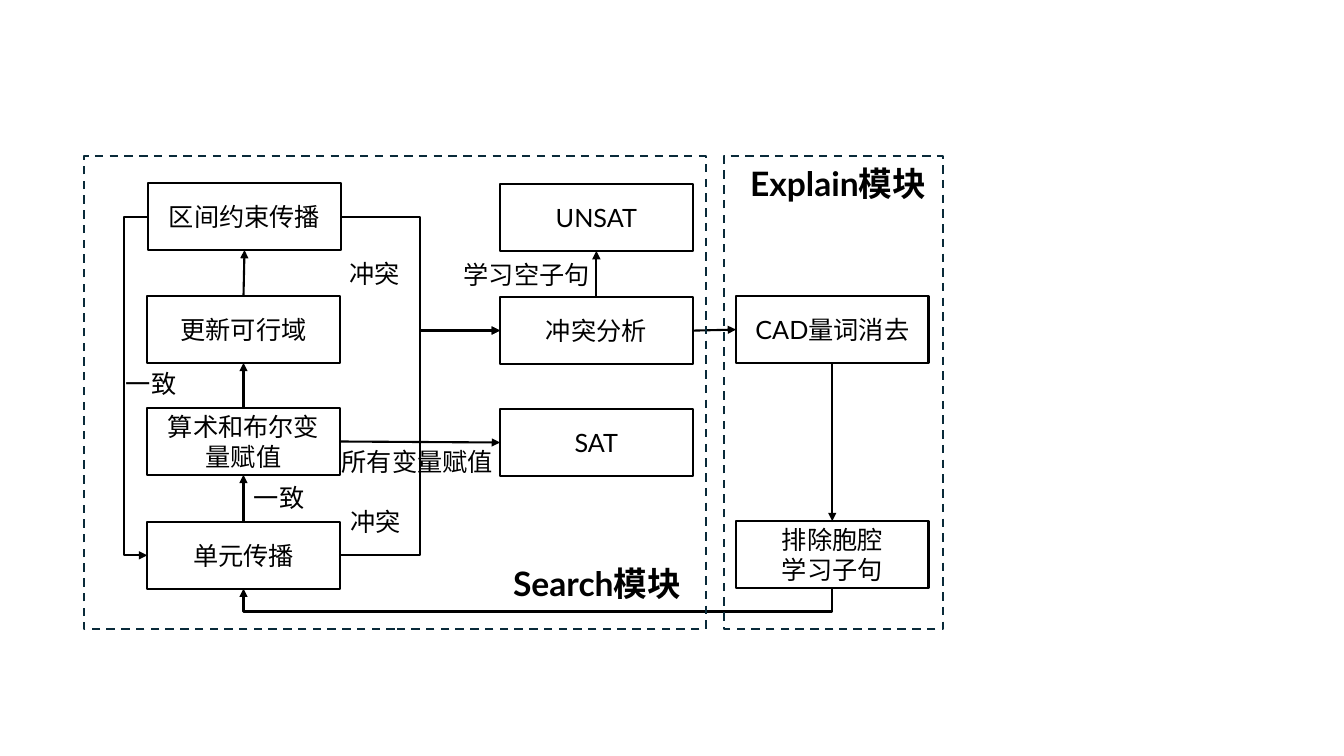
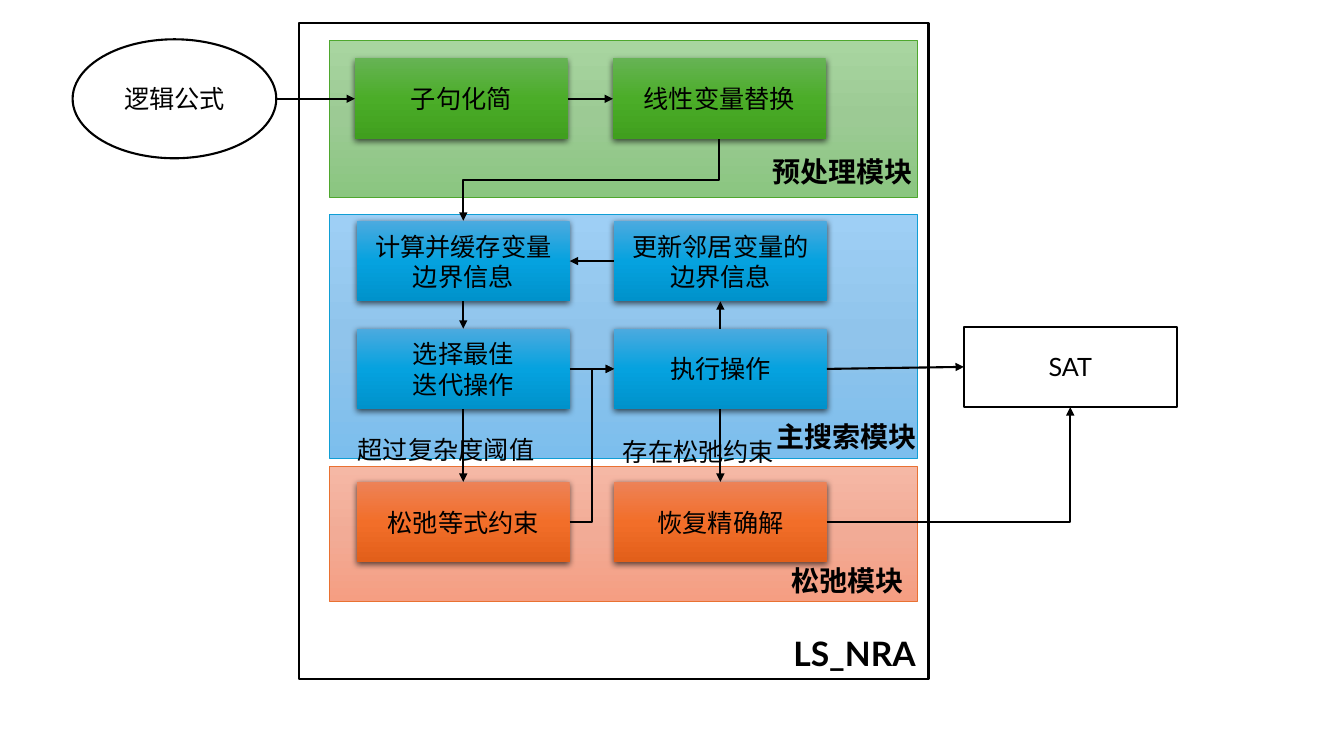
from dataclasses import dataclass
from enum import IntEnum

from lxml import etree
from pptx import Presentation
from pptx import util as u
from pptx.dml.color import RGBColor
from pptx.enum import dml, shapes, text
from pptx.oxml import ns


@dataclass(frozen=True)
class Tone:
    band: tuple
    edge: str
    node: tuple


@dataclass(frozen=True)
class Theme:
    font: str = "Lato"
    ink: str = "000000"
    paper: str = "FFFFFF"
    dash: str = "092A39"
    body: int = 18
    module: int = 20
    title: int = 24
    rule: float = 1.5
    edge_rule: float = 1
    green: Tone = Tone(("A8D5A0", "9CCA94", "8AC680"), "4EA72E",
                       ("66B354", "4BAD28", "409F1E"))
    blue: Tone = Tone(("9ECFF5", "90C4EB", "7CBEED"), "0F9ED5",
                      ("4CAADF", "05A2DF", "0092CB"))
    orange: Tone = Tone(("F5B8A5", "F2AB96", "F59E82"), "E97132",
                        ("ED8257", "F26E29", "E25F1A"))


class Side(IntEnum):
    TOP = 0
    LEFT = 1
    BOTTOM = 2
    RIGHT = 3


THEME = Theme()
RECT = shapes.MSO_SHAPE.RECTANGLE
OVAL = shapes.MSO_SHAPE.OVAL
TOP, LEFT, BOTTOM, RIGHT = Side


def add_child(parent, tag, **attributes):
    return etree.SubElement(parent, ns.qn(tag), {k: str(v) for k, v in attributes.items()})


def write(frame, lines, size, bold=False, align=None):
    frame.word_wrap = True
    for index, line in enumerate(lines):
        para = frame.paragraphs[0] if index == 0 else frame.add_paragraph()
        para.alignment = align
        span = para.add_run()
        span.text = line
        span.font.name = THEME.font
        span.font.size = u.Pt(size)
        span.font.bold = bold
        span.font.color.rgb = RGBColor.from_string(THEME.ink)


def paint(box, fill):
    if fill is None:
        box.fill.background()
    elif isinstance(fill, str):
        box.fill.solid()
        box.fill.fore_color.rgb = RGBColor.from_string(fill)
    else:
        box.fill.gradient()
        box.fill.gradient_angle = 270
        stops = box._element.spPr.find(".//" + ns.qn("a:gsLst"))
        for stop in list(stops):
            stops.remove(stop)
        for index, color in enumerate(fill):
            stop = add_child(stops, "a:gs", pos=index * 50000)
            add_child(stop, "a:srgbClr", val=color)


def stroke(line, color, width):
    line.color.rgb = RGBColor.from_string(color)
    line.width = u.Pt(width)


def add_box(page, left, top, width, height, lines=(), preset=RECT,
            fill=THEME.paper, edge=THEME.ink, rule=THEME.rule):
    box = page.shapes.add_shape(preset, *map(u.Inches, (left, top, width, height)))
    box.shadow.inherit = False
    paint(box, fill)
    if edge:
        stroke(box.line, edge, rule)
    else:
        box.line.fill.background()
    box.text_frame.vertical_anchor = text.MSO_ANCHOR.MIDDLE
    write(box.text_frame, lines, THEME.body, align=text.PP_ALIGN.CENTER)
    return box


def add_region(page, left, width):
    region = add_box(page, left, 1.55, width, 4.69, fill=None, edge=THEME.dash)
    region.line.dash_style = dml.MSO_LINE.DASH


def add_band(page, top, height, tone):
    add_box(page, 3.27, top, 5.83, height, fill=tone.band,
            edge=tone.edge, rule=THEME.edge_rule)


def add_node(page, left, top, lines, tone):
    node = add_box(page, left, top, 2.11, 0.8, lines, fill=tone.node, edge=None)
    effects = node._element.spPr.find(ns.qn("a:effectLst"))
    shadow = add_child(effects, "a:outerShdw", blurRad=u.Pt(4.5), dist=u.Pt(1.5),
                       dir=5400000, algn="ctr", rotWithShape=0)
    color = add_child(shadow, "a:srgbClr", val=THEME.ink)
    add_child(color, "a:alpha", val=63000)
    return node


def add_label(page, left, top, width, words, size=THEME.body, bold=False):
    height = {THEME.body: 0.4, THEME.module: 0.44, THEME.title: 0.5}[size]
    label = page.shapes.add_textbox(*map(u.Inches, (left, top, width, height)))
    write(label.text_frame, [words], size, bold)
    label.text_frame.auto_size = text.MSO_AUTO_SIZE.SHAPE_TO_FIT_TEXT


def anchor(box, side):
    x = box.left + {LEFT: 0, RIGHT: box.width}.get(side, box.width // 2)
    y = box.top + {TOP: 0, BOTTOM: box.height}.get(side, box.height // 2)
    return x, y


def add_arrow(page, source, out, target, into,
              kind=shapes.MSO_CONNECTOR.STRAIGHT):
    arrow = page.shapes.add_connector(kind, *anchor(source, out), *anchor(target, into))
    arrow.begin_connect(source, int(out))
    arrow.end_connect(target, int(into))
    if source.auto_shape_type == OVAL:
        start = arrow._element.find(".//" + ns.qn("a:stCxn"))
        start.set("idx", str(out * 2))
    stroke(arrow.line, THEME.ink, THEME.rule)
    outline = arrow._element.spPr.find(ns.qn("a:ln"))
    add_child(outline, "a:tailEnd", type="triangle")
    add_child(arrow._element.spPr, "a:effectLst")
    return arrow


def add_elbow(page, source, out, target, into, turn=0, detour=None, corner=False):
    arrow = add_arrow(page, source, out, target, into, shapes.MSO_CONNECTOR.ELBOW)
    (x1, y1), (x2, y2) = anchor(source, out), anchor(target, into)
    dx, dy = x2 - x1, y2 - y1
    run, rise = {0: (dx, dy), 90: (dy, -dx), 180: (-dx, -dy)}[turn]
    arrow.begin_x, arrow.begin_y = (x1 + x2 - run) // 2, (y1 + y2 - rise) // 2
    arrow.end_x, arrow.end_y = (x1 + x2 + run) // 2, (y1 + y2 + rise) // 2
    properties = arrow._element.spPr
    if turn:
        properties.find(ns.qn("a:xfrm")).set("rot", str(turn * 60000))
    outline = properties.find(ns.qn("a:prstGeom"))
    if corner:
        outline.set("prst", "bentConnector2")
    if detour:
        guides = outline.find(ns.qn("a:avLst"))
        if guides is None:
            guides = add_child(outline, "a:avLst")
        ratio = round(u.Inches(detour) / run * 100000)
        add_child(guides, "a:gd", name="adj1", fmla=f"val {ratio}")


def build_search_page(page):
    def step(left, top, *lines):
        return add_box(page, left, top, 1.91, 0.66, lines)

    unit = step(1.46, 5.18, "单元传播")
    assign = step(1.46, 4.05, "算术和布尔变量赋值")
    analyse = step(4.96, 2.95, "冲突分析")
    update = step(1.46, 2.94, "更新可行域")
    exclude = step(7.3, 5.17, "排除胞腔", "学习子句")
    interval = step(1.47, 1.82, "区间约束传播")
    cad = step(7.3, 2.94, "CAD量词消去")
    unsat = step(4.96, 1.83, "UNSAT")
    sat = step(4.96, 4.06, "SAT")

    for source, out, target, into in (
        (unit, TOP, assign, BOTTOM),
        (assign, TOP, update, BOTTOM),
        (update, TOP, interval, BOTTOM),
        (analyse, RIGHT, cad, LEFT),
        (analyse, TOP, unsat, BOTTOM),
        (cad, BOTTOM, exclude, TOP),
        (assign, RIGHT, sat, LEFT),
    ):
        add_arrow(page, source, out, target, into)
    for source in (unit, interval):
        add_elbow(page, source, RIGHT, analyse, LEFT)
    add_elbow(page, exclude, BOTTOM, unit, BOTTOM, turn=90, detour=0.24)
    add_elbow(page, interval, LEFT, unit, LEFT, turn=180, detour=0.24)

    add_region(page, 0.83, 6.17)
    add_region(page, 7.18, 2.17)
    add_label(page, 4.99, 5.54, 2.25, "Search模块", THEME.title, True)
    add_label(page, 7.34, 1.57, 2.25, "Explain模块", THEME.title, True)
    for left, top, words in (
        (2.42, 4.74, "一致"),
        (3.37, 2.51, "冲突"),
        (3.38, 4.97, "冲突"),
        (3.29, 4.38, "所有变量赋值"),
        (1.15, 3.6, "一致"),
        (4.5, 2.52, "学习空子句"),
    ):
        add_label(page, left, top, 2.04, words)


def build_solver_page(page):
    add_box(page, 2.97, 0.23, 6.24, 6.51)
    add_band(page, 4.63, 1.34, THEME.orange)
    add_band(page, 2.13, 2.42, THEME.blue)
    add_band(page, 0.4, 1.56, THEME.green)

    formula = add_box(page, 0.72, 0.39, 2.02, 1.18, ["逻辑公式"], OVAL)
    simplify = add_node(page, 3.52, 0.58, ["子句化简"], THEME.green)
    replace = add_node(page, 6.08, 0.58, ["线性变量替换"], THEME.green)
    cache = add_node(page, 3.54, 2.19, ["计算并缓存变量边界信息"], THEME.blue)
    choose = add_node(page, 3.54, 3.26, ["选择最佳", "迭代操作"], THEME.blue)
    relax = add_node(page, 3.54, 4.78, ["松弛等式约束"], THEME.orange)
    execute = add_node(page, 6.09, 3.26, ["执行操作"], THEME.blue)
    refresh = add_node(page, 6.09, 2.19, ["更新邻居变量的边界信息"], THEME.blue)
    sat = add_box(page, 9.56, 3.24, 2.11, 0.8, ["SAT"])
    restore = add_node(page, 6.09, 4.78, ["恢复精确解"], THEME.orange)

    for source, out, target, into in (
        (formula, RIGHT, simplify, LEFT),
        (simplify, RIGHT, replace, LEFT),
        (cache, BOTTOM, choose, TOP),
        (choose, BOTTOM, relax, TOP),
        (choose, RIGHT, execute, LEFT),
        (execute, TOP, refresh, BOTTOM),
        (refresh, LEFT, cache, RIGHT),
        (execute, RIGHT, sat, LEFT),
        (execute, BOTTOM, restore, TOP),
    ):
        add_arrow(page, source, out, target, into)
    add_elbow(page, replace, BOTTOM, cache, TOP, turn=90)
    add_elbow(page, relax, RIGHT, execute, LEFT)
    add_elbow(page, restore, RIGHT, sat, BOTTOM, corner=True)

    add_label(page, 3.45, 4.26, 2.25, "超过复杂度阈值")
    add_label(page, 6.08, 4.28, 2.25, "存在松弛约束")
    add_label(page, 7.77, 6.23, 1.71, "LS_NRA", THEME.title, True)
    for left, top, words in (
        (7.56, 1.48, "预处理模块"),
        (7.6, 4.11, "主搜索模块"),
        (7.75, 5.54, "松弛模块"),
    ):
        add_label(page, left, top, 2.19, words, THEME.module, True)


def main():
    deck = Presentation()
    deck.slide_width, deck.slide_height = u.Inches(13.33), u.Inches(7.5)
    blank = deck.slide_layouts[6]
    for build in (build_search_page, build_solver_page):
        build(deck.slides.add_slide(blank))
    deck.save("out.pptx")


if __name__ == "__main__":
    main()
